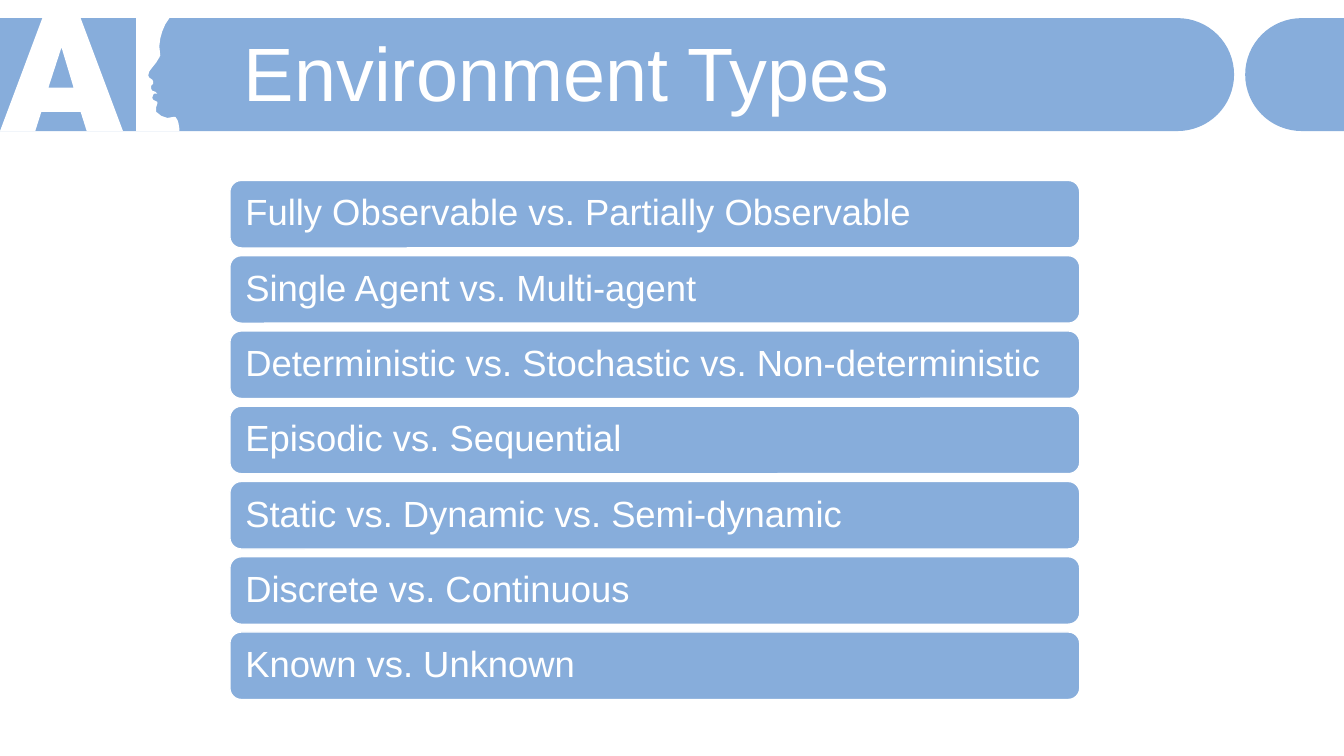
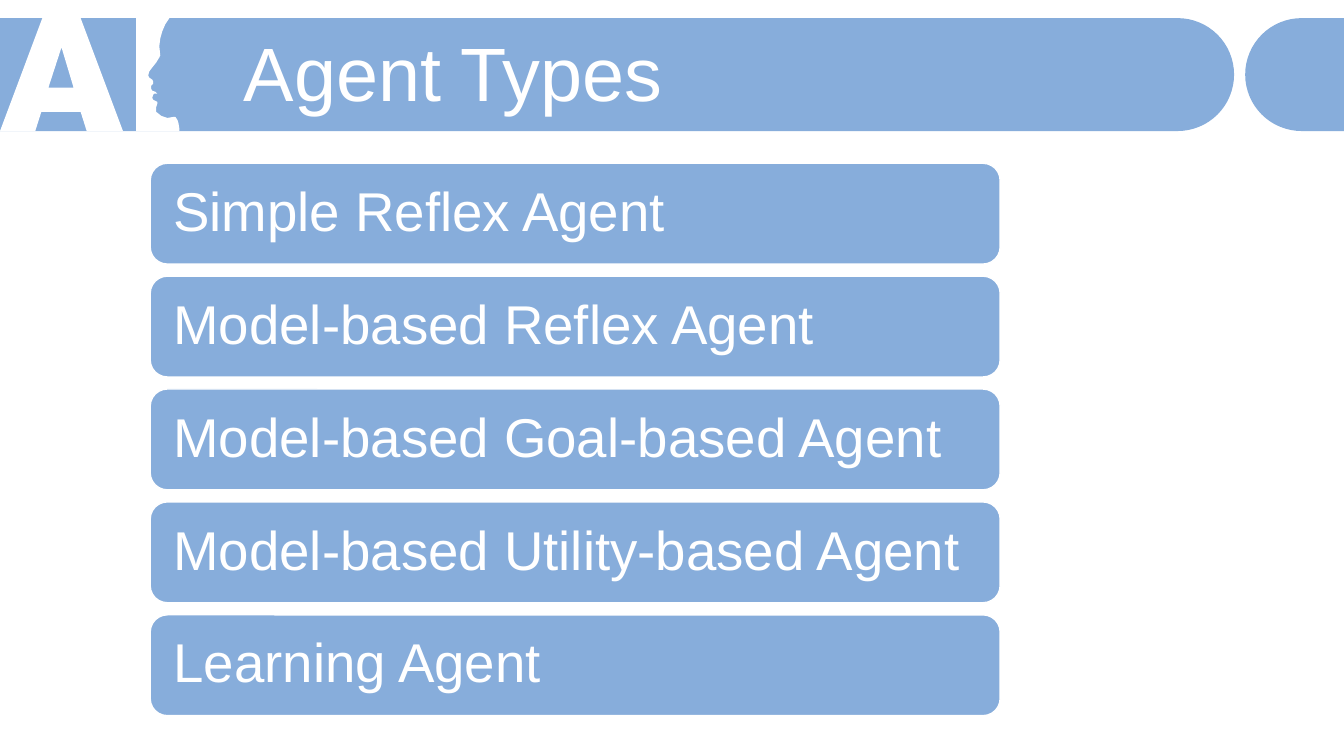
from dataclasses import dataclass
from math import cos, pi, sin

from pptx import Presentation
from pptx.dml.color import RGBColor
from pptx.enum.shapes import MSO_SHAPE
from pptx.enum.text import MSO_ANCHOR, PP_ALIGN
from pptx.shapes.base import BaseShape
from pptx.slide import Slide
from pptx.util import Inches, Pt

BLUE = RGBColor(0x87, 0xAD, 0xDB)
WHITE = RGBColor(0xFF, 0xFF, 0xFF)
FONT = "Arial"
WIDE, HIGH = 13.33, 7.5
TOP, BASE = 0.18, 1.3
MID, RADIUS = (TOP + BASE) / 2, (BASE - TOP) / 2

Points = list[tuple[float, float]]

HOLE: Points = [(0.61, 0.47), (0.48, 0.87), (0.73, 0.87)]
LETTER: Points = [
    (0.42, TOP), (0.8, TOP), (1.22, BASE), (0.86, BASE),
    (0.8, 1.11), (0.41, 1.11), (0.35, BASE), (0, BASE),
]
FACE: Points = [
    (1.35, TOP), (1.68, TOP), (1.64, 0.24), (1.61, 0.31), (1.59, 0.38),
    (1.58, 0.46), (1.59, 0.55), (1.58, 0.57), (1.55, 0.62), (1.51, 0.67),
    (1.48, 0.71), (1.47, 0.75), (1.48, 0.77), (1.51, 0.79), (1.52, 0.81),
    (1.52, 0.83), (1.5, 0.85), (1.5, 0.88), (1.51, 0.9), (1.54, 0.91),
    (1.56, 0.93), (1.53, 0.93), (1.52, 0.94), (1.51, 0.97), (1.52, 0.99),
    (1.56, 1.01), (1.56, 1.03), (1.55, 1.06), (1.55, 1.11), (1.6, 1.15),
    (1.66, 1.17), (1.72, 1.16), (1.74, 1.16), (1.76, 1.19), (1.77, 1.22),
    (1.78, 1.28), (1.78, BASE), (1.35, BASE),
]


@dataclass(frozen=True)
class Stack:
    title: str
    left: float
    first: float
    last: float
    height: float
    inset: float
    size: int
    items: tuple[str, ...]


STACKS = (
    Stack("Environment Types", 2.28, 1.79, 6.27, 0.67, 0.12, 26, (
        "Fully Observable vs. Partially Observable",
        "Single Agent vs. Multi-agent",
        "Deterministic vs. Stochastic vs. Non-deterministic",
        "Episodic vs. Sequential",
        "Static vs. Dynamic vs. Semi-dynamic",
        "Discrete vs. Continuous",
        "Known vs. Unknown",
    )),
    Stack("Agent Types", 1.49, 1.62, 6.1, 1, 0.18, 39, (
        "Simple Reflex Agent",
        "Model-based Reflex Agent",
        "Model-based Goal-based Agent",
        "Model-based Utility-based Agent",
        "Learning Agent",
    )),
)


def paint(shape: BaseShape, color: RGBColor) -> None:
    shape.shadow.inherit = False
    shape.fill.solid()
    shape.fill.fore_color.rgb = color


def write(shape: BaseShape, text: str, size: int, **frame: int) -> None:
    """Put one white, left-aligned line of text in the middle of a shape."""
    body = shape.text_frame
    para = body.paragraphs[0]
    para.text = text
    para.font.color.rgb = WHITE
    formats = {
        body: {"word_wrap": True, "vertical_anchor": MSO_ANCHOR.MIDDLE, **frame},
        para: {"alignment": PP_ALIGN.LEFT, "line_spacing": 0.9},
        para.font: {"name": FONT, "size": Pt(size)},
    }
    for target, values in formats.items():
        for name, value in values.items():
            setattr(target, name, value)


def outline(slide: Slide, color: RGBColor, *loops: Points) -> None:
    """Fill closed loops as one shape; a loop inside another is a hole."""
    pen = None
    for loop in loops:
        start, *rest = [(Inches(x), Inches(y)) for x, y in loop]
        if pen is None:
            pen = slide.shapes.build_freeform(*start)
        else:
            pen.move_to(*start)
        pen.add_line_segments(rest, close=True)
    shape = pen.convert_to_shape()
    paint(shape, color)
    shape.line.fill.background()


def band(slide: Slide, flat: float, center: float) -> None:
    """Draw a band from a flat edge to a half circle around center."""
    side = 1 if center > flat else -1
    steps = 32
    turns = [pi * (i / steps - 0.5) for i in range(steps + 1)]
    curve = [(center + side * RADIUS * cos(a), MID + RADIUS * sin(a)) for a in turns]
    outline(slide, BLUE, [(flat, TOP), *curve, (flat, BASE)])


def header(slide: Slide, title: str) -> None:
    band(slide, 0, 11.68)
    outline(slide, WHITE, HOLE, FACE, LETTER)
    band(slide, WIDE, 12.91)
    box = slide.shapes.add_textbox(Inches(2.32), Inches(0.37), Inches(10.69), Inches(0.79))
    write(box, title, 54)


def bars(slide: Slide, stack: Stack) -> None:
    pitch = (stack.last - stack.first) / (len(stack.items) - 1)
    for i, text in enumerate(stack.items):
        bar = slide.shapes.add_shape(
            MSO_SHAPE.ROUNDED_RECTANGLE, Inches(stack.left),
            Inches(stack.first + i * pitch), Inches(8.43), Inches(stack.height),
        )
        bar.adjustments[0] = 0.17
        paint(bar, BLUE)
        bar.line.color.rgb = WHITE
        bar.line.width = Pt(1)
        write(bar, text, stack.size, margin_left=Inches(stack.inset),
              margin_right=Inches(stack.inset), margin_top=0, margin_bottom=0)


def main() -> None:
    deck = Presentation()
    deck.slide_width, deck.slide_height = Inches(WIDE), Inches(HIGH)
    blank = deck.slide_layouts[6]
    for stack in STACKS:
        slide = deck.slides.add_slide(blank)
        header(slide, stack.title)
        bars(slide, stack)
    deck.save("out.pptx")


if __name__ == "__main__":
    main()
